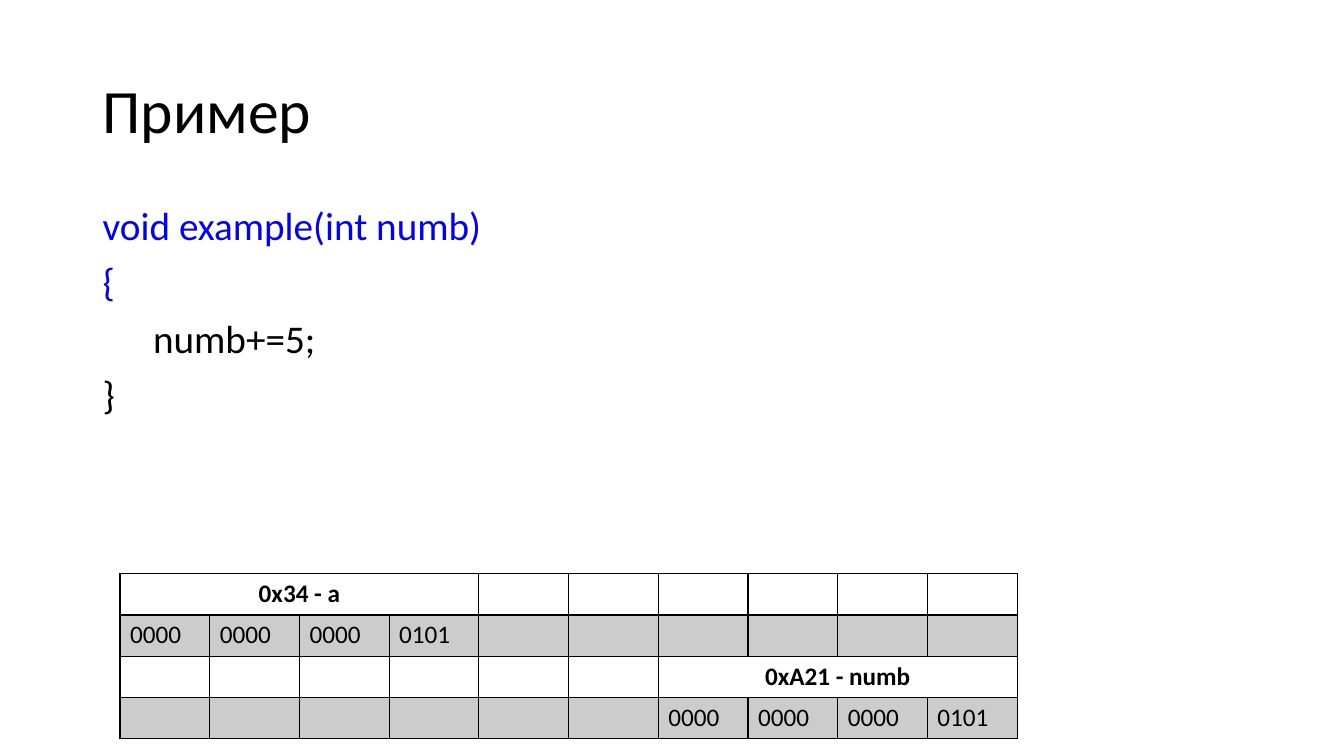
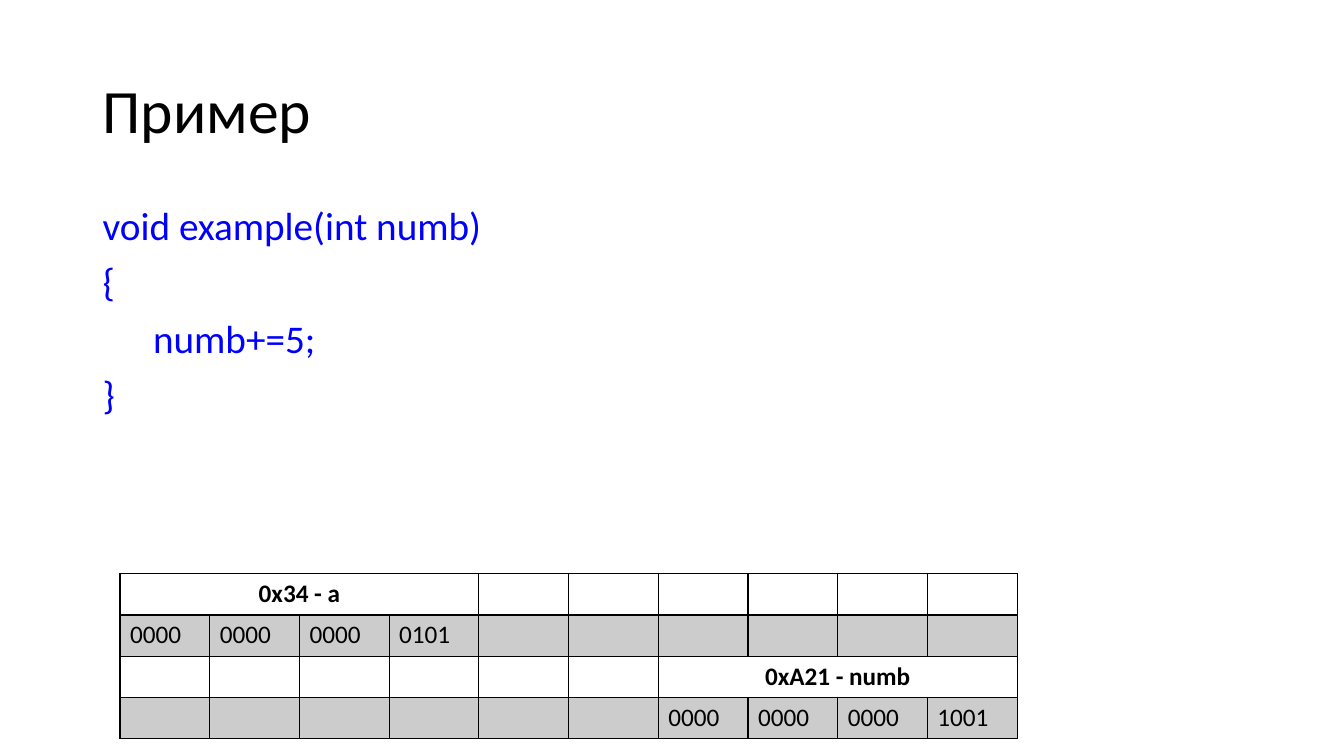
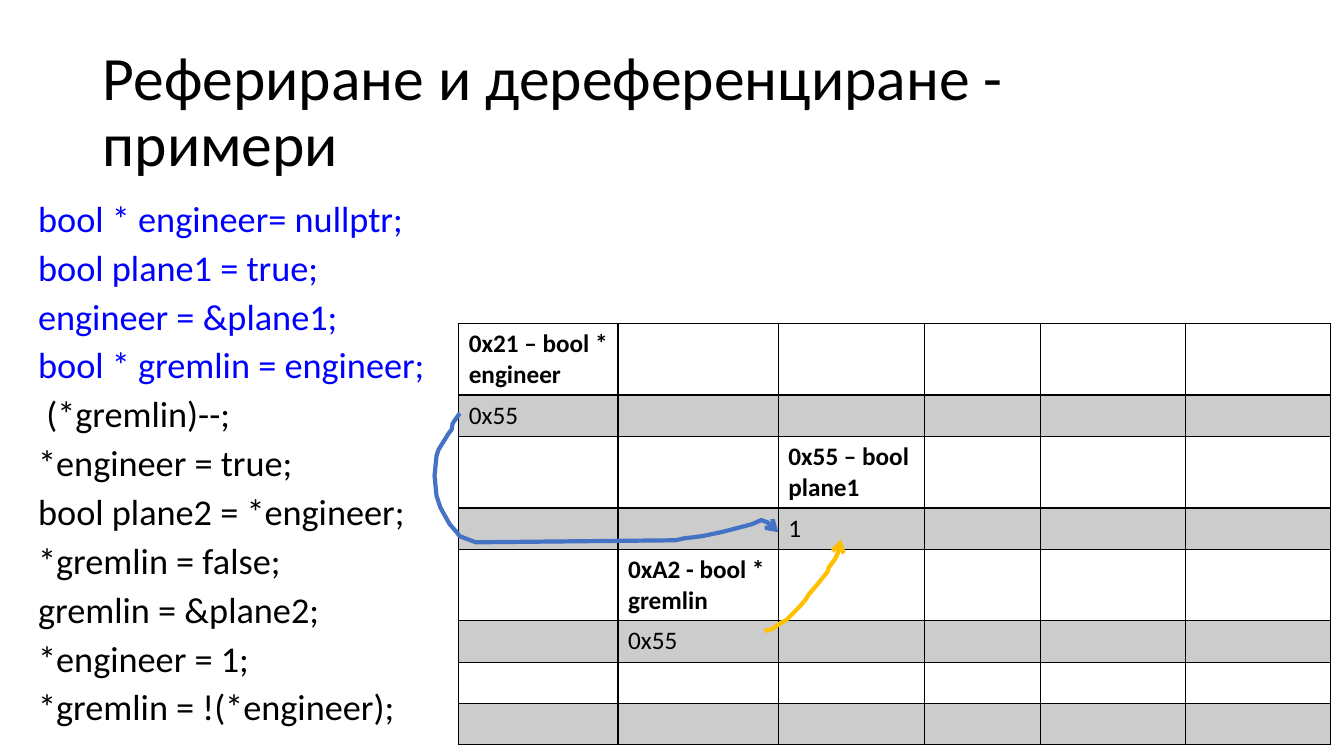
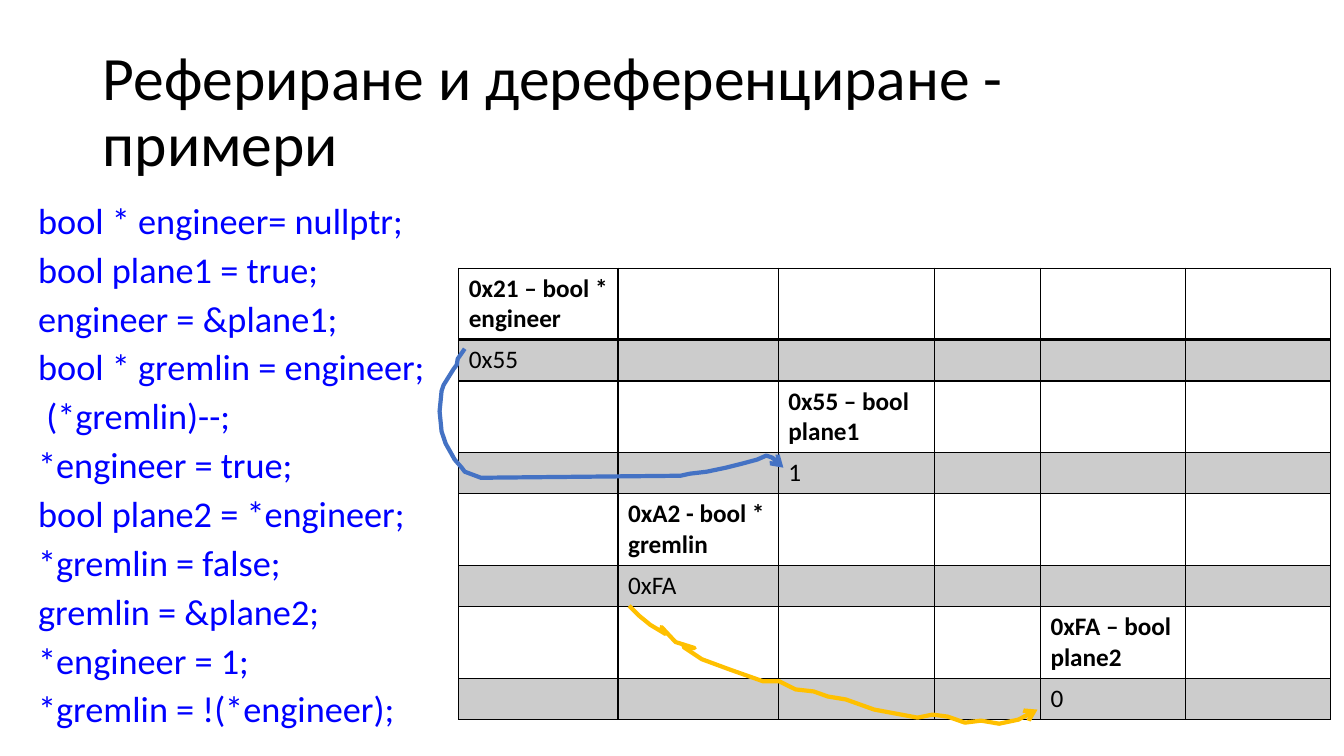
from dataclasses import dataclass

import pptx
import pptx.dml.color
import pptx.enum.text
import pptx.oxml
import pptx.oxml.ns
import pptx.util

PX = 9144  # EMU per px, 100 px to the inch


@dataclass(frozen=True)
class Theme:
    font: str = "Calibri"
    black: str = "000000"
    code: str = "0000FF"
    blue: str = "4472C4"
    gold: str = "FFC000"
    shade: int = 20
    title: float = 44
    body: float = 28
    listing: float = 25.9
    cell: float = 18
    gap: float = 10
    arrow: float = 3


THEME = Theme()
ALIGN = pptx.enum.text.PP_ALIGN
ANCHOR = pptx.enum.text.MSO_ANCHOR


def rgb(color):
    return pptx.dml.color.RGBColor.from_string(color)


def px(*lengths):
    return [pptx.util.Emu(n * PX) for n in lengths]


def xml(tag, body="", **attrs):
    names = "".join(f' {k}="{v}"' for k, v in attrs.items())
    return pptx.oxml.parse_xml(
        f'<a:{tag} {pptx.oxml.ns.nsdecls("a")}{names}>{body}</a:{tag}>')


def write(tf, text, size, color=THEME.black, bold=False, align=ALIGN.LEFT,
          spacing=None, gap=0, plain_from=None):
    """Write one paragraph per line; lines from plain_from on are black."""
    for i, line in enumerate(text.split("\n")):
        p = tf.add_paragraph() if i else tf.paragraphs[0]
        p.alignment = align
        if spacing:
            p.line_spacing = spacing
        p.space_before = pptx.util.Pt(gap if i else 0)
        r = p.add_run() if line else p
        if line:
            r.text = line
        r.font.name = THEME.font
        r.font.size = pptx.util.Pt(size)
        r.font.bold = bold
        plain = plain_from is not None and i in plain_from
        r.font.color.rgb = rgb(THEME.black if plain else color)


class Deck:
    def __init__(self):
        self.prs = pptx.Presentation()
        self.prs.slide_width, self.prs.slide_height = px(1333, 750)
        self.slide = None

    def new_slide(self, title):
        self.slide = self.prs.slides.add_slide(self.prs.slide_layouts[6])
        self.text(92, 40, 1150, 145, title, size=THEME.title, spacing=0.9,
                  anchor=ANCHOR.MIDDLE)

    def text(self, x, y, w, h, text, anchor=ANCHOR.TOP, **style):
        tf = self.slide.shapes.add_textbox(*px(x, y, w, h)).text_frame
        tf.word_wrap = True
        tf.vertical_anchor = anchor
        write(tf, text, **style)

    def memory(self, x, y, cols, rows, cells, spans=()):
        """Draw address rows (bold) alternating with shaded value rows."""
        frame = self.slide.shapes.add_table(
            len(rows), len(cols), *px(x, y, sum(cols), sum(rows)))
        table = frame.table
        table.first_row = table.horz_banding = False
        for col, width in zip(table.columns, px(*cols)):
            col.width = width
        for row, height in zip(table.rows, px(*rows)):
            row.height = height
        for r in range(len(rows)):
            for c in range(len(cols)):
                cell = table.cell(r, c)
                write(cell.text_frame, cells.get((r, c), ""), THEME.cell,
                      bold=r % 2 == 0,
                      align=ALIGN.CENTER if (r, c) in spans else ALIGN.LEFT)
                self.style_cell(cell, header=r == 0, shaded=r % 2 == 1)
        for r, c in spans:
            table.cell(r, c).merge(table.cell(r, c + 3))

    def style_cell(self, cell, header, shaded):
        tc_pr = cell._tc.get_or_add_tcPr()
        line = xml("solidFill", f'<a:srgbClr val="{THEME.black}"/>')
        for side in "LRTB":
            width = pptx.util.Pt(2 if header and side == "B" else 1)
            ln = xml("ln" + side, w=int(width))
            ln.append(xml("solidFill", f'<a:srgbClr val="{THEME.black}"/>'))
            tc_pr.append(ln)
        if shaded:
            line[0].append(xml("alpha", val=THEME.shade * 1000))
            tc_pr.append(line)
        else:
            cell.fill.background()

    def arrow(self, points, color, dx=0, dy=0):
        start, *rest = [(x + dx, y + dy) for x, y in points]
        builder = self.slide.shapes.build_freeform(*start, scale=PX)
        builder.add_line_segments(rest, close=False)
        sp = builder.convert_to_shape()
        sp.shadow.inherit = False
        sp.fill.background()
        sp.line.color.rgb = rgb(color)
        sp.line.width = pptx.util.Pt(THEME.arrow)
        ln = sp.line._get_or_add_ln()
        ln.append(xml("round"))
        ln.append(xml("tailEnd", type="arrow"))


FUNCTION = "void example(int numb)\n{\n\tnumb+=5;\n}"

LISTING = """bool * engineer= nullptr;
bool plane1 = true;
engineer = &plane1;
bool * gremlin = engineer;
 (*gremlin)--;
*engineer = true;
bool plane2 = *engineer;
*gremlin = false;
gremlin = &plane2;
*engineer = 1;
*gremlin = !(*engineer);"""

ENGINEER_TO_PLANE1 = [
    (456, 410), (449, 420), (448, 426), (445, 430), (435, 446), (433, 452),
    (431, 472), (433, 492), (437, 504), (446, 520), (453, 528), (456, 532),
    (472, 538), (670, 536), (679, 534), (696, 532), (715, 528), (731, 524),
    (746, 520), (755, 516), (761, 518), (765, 522), (772, 528)]
GREMLIN_TO_PLANE1 = [
    (758, 626), (766, 624), (773, 619), (780, 615), (786, 609), (793, 602),
    (799, 595), (802, 590), (808, 583), (813, 577), (821, 567), (822, 563),
    (828, 555), (832, 547), (834, 541), (834, 535)]
GREMLIN_TO_PLANE2 = [
    (624, 601), (634, 611), (645, 620), (660, 629), (656, 622), (670, 637),
    (689, 643), (678, 642), (696, 654), (723, 664), (757, 676), (773, 676),
    (789, 684), (807, 686), (821, 691), (839, 694), (867, 704), (910, 712),
    (925, 709), (940, 711), (957, 717), (973, 715), (991, 718), (1010, 714),
    (1029, 704)]


def function_slide(deck, result, plain_from=()):
    deck.new_slide("Пример")
    deck.text(92, 200, 1150, 476, FUNCTION, size=THEME.body, color=THEME.code,
              spacing=0.9, gap=THEME.gap, plain_from=plain_from)
    cells = {(0, 0): "0x34 - a", (2, 6): "0xA21 - numb"}
    for row, first, last in ((1, 0, "0101"), (3, 6, result)):
        for i, bits in enumerate(["0000"] * 3 + [last]):
            cells[row, first + i] = bits
    deck.memory(119, 569, [89] * 10, [41] * 4, cells,
                spans=((0, 0), (2, 6)))


def pointer_slide(deck, y, table_y, cols, rows, gremlin, extra, plain_from=()):
    deck.new_slide("Рефериране и дереференциране - примери")
    deck.text(28, y, 1293, 582, LISTING, size=THEME.listing, color=THEME.code,
              spacing=0.8, gap=THEME.gap, plain_from=plain_from)
    cells = {(0, 0): "0x21 – bool *\nengineer", (1, 0): "0x55",
             (2, 2): "0x55 – bool\nplane1", (3, 2): "1",
             (4, 1): "0xA2 - bool *\ngremlin", (5, 1): gremlin, **extra}
    deck.memory(455, table_y, cols, rows, cells)


def main():
    deck = Deck()
    function_slide(deck, "0101", plain_from=(2, 3))
    function_slide(deck, "1001")

    pointer_slide(deck, 198, 321, [158, 159, 145, 115, 144, 144],
                  [71, 41] * 3 + [41, 41], "0x55", {},
                  plain_from=range(4, 11))
    deck.arrow(ENGINEER_TO_PLANE1, THEME.blue)
    deck.arrow(GREMLIN_TO_PLANE1, THEME.gold)

    pointer_slide(deck, 200, 266, [158, 159, 155, 105, 144, 144],
                  [71, 41] * 4, "0xFA",
                  {(6, 4): "0xFA – bool plane2", (7, 4): "0"})
    deck.arrow(ENGINEER_TO_PLANE1, THEME.blue, dx=5, dy=-64)
    deck.arrow(GREMLIN_TO_PLANE2, THEME.gold)
    deck.prs.save("out.pptx")


if __name__ == "__main__":
    main()
